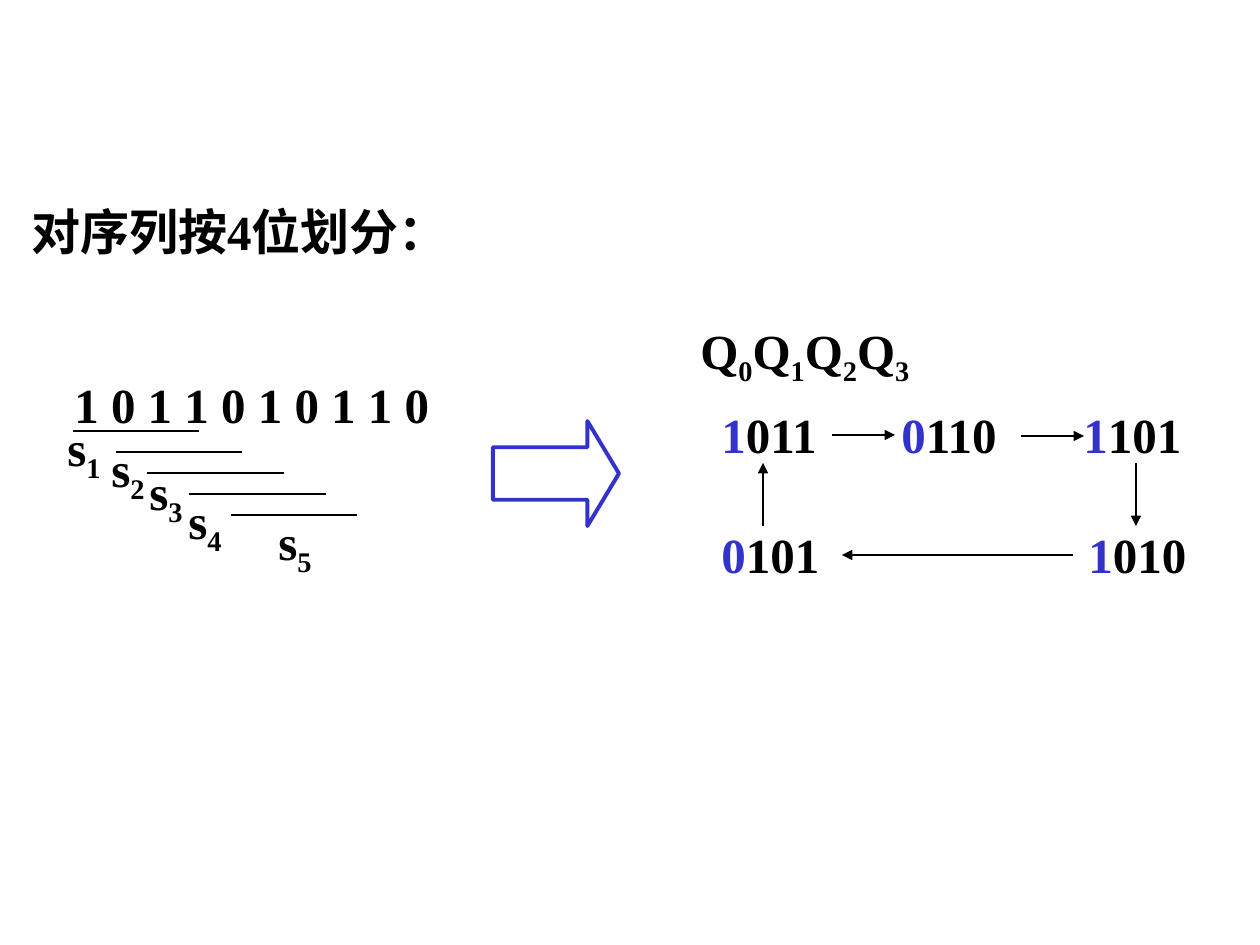
from pptx import Presentation, util as u
from pptx.dml.color import RGBColor
from pptx.enum import shapes, text
from pptx.oxml.ns import qn
from lxml import etree

BLACK = RGBColor(0, 0, 0)
BLUE = RGBColor(0x33, 0x33, 0xCC)
SCALE = 914400 / 126
FONT = {"name": "Times New Roman", "size": u.Pt(28), "bold": True}


def px(n):
    return u.Emu(round(n * SCALE))


class Board:
    """Draws styled text, lines and arrows on one slide."""

    def __init__(self, deck):
        self.slide = deck.slides.add_slide(deck.slide_layouts[6])
        self.items = self.slide.shapes

    def label(self, left, top, wide, high, rows, tabs=(), gap=0):
        box = self.items.add_textbox(px(left), px(top), px(wide), px(high))
        frame = box.text_frame
        frame.word_wrap = bool(tabs)
        frame.auto_size = text.MSO_AUTO_SIZE.SHAPE_TO_FIT_TEXT
        for i, runs in enumerate(rows):
            para = frame.add_paragraph() if i else frame.paragraphs[0]
            if tabs:
                stops = etree.SubElement(para._p.get_or_add_pPr(), qn("a:tabLst"))
                for pos in tabs[i]:
                    etree.SubElement(stops, qn("a:tab"), pos=str(px(pos)), algn="l")
            if i:
                para.space_before = u.Pt(gap)
            for run in runs:
                self.run(para, *run)

    def run(self, para, words, color=BLACK, sub=False):
        run = para.add_run()
        run.text = words
        for key, value in FONT.items():
            setattr(run.font, key, value)
        run.font.color.rgb = color
        if sub:
            run._r.get_or_add_rPr().set("baseline", "-25000")

    def line(self, x1, y1, x2, y2, head=False):
        line = self.items.add_connector(
            shapes.MSO_CONNECTOR.STRAIGHT, px(x1), px(y1), px(x2), px(y2))
        line.line.color.rgb = BLACK
        line.line.width = u.Pt(1.5)
        if head:
            etree.SubElement(line.line._get_or_add_ln(), qn("a:tailEnd"), type="triangle")
        etree.SubElement(line._element.spPr, qn("a:effectLst"))

    def arrow(self, left, top, wide, high):
        arrow = self.items.add_shape(
            shapes.MSO_SHAPE.RIGHT_ARROW, px(left), px(top), px(wide), px(high))
        arrow.adjustments[0], arrow.adjustments[1] = 0.5, 0.3
        arrow.shadow.inherit = False
        arrow.fill.background()
        arrow.line.color.rgb = BLUE
        arrow.line.width = u.Pt(2.25)


def main():
    deck = Presentation()
    deck.slide_width, deck.slide_height = px(1260), px(945)
    board = Board(deck)
    board.label(19, 195, 464, 72, [[("对序列按4位划分：",)]])
    board.label(62, 368, 392, 72, [[("1 0 1 1 0 1 0 1 1 0",)]])

    spans = [(73, 199), (116, 242), (147, 284), (189, 326), (231, 357)]
    for i, (start, end) in enumerate(spans):
        board.line(start, 431 + 21 * i, end, 431 + 21 * i)
    marks = [(55, 411), (99, 432), (137, 455), (176, 484), (266, 505)]
    for i, (left, top) in enumerate(marks, 1):
        board.label(left, top, 58, 79, [[("s",), (str(i), BLACK, True)]])

    states = [["1011", "0110", "1101"], ["0101", "1010"]]
    rows = []
    for words in states:
        runs = []
        for i, word in enumerate(words):
            tail = "\t" if i < len(words) - 1 else ""
            runs += [(word[0], BLUE), (word[1:] + tail,)]
        rows.append(runs)
    board.label(709, 398, 500, 189, rows, tabs=[(180, 362), (367,)], gap=35)
    moves = [(832, 435, 895, 435), (1021, 436, 1084, 436), (1136, 463, 1136, 526),
             (1073, 555, 842, 555), (763, 526, 763, 463)]
    for move in moves:
        board.line(*move, head=True)
    names = [run for i in range(4) for run in (("Q",), (str(i), BLACK, True))]
    board.label(688, 314, 234, 79, [names])
    board.arrow(493, 421, 126, 105)
    deck.save("out.pptx")


if __name__ == "__main__":
    main()
